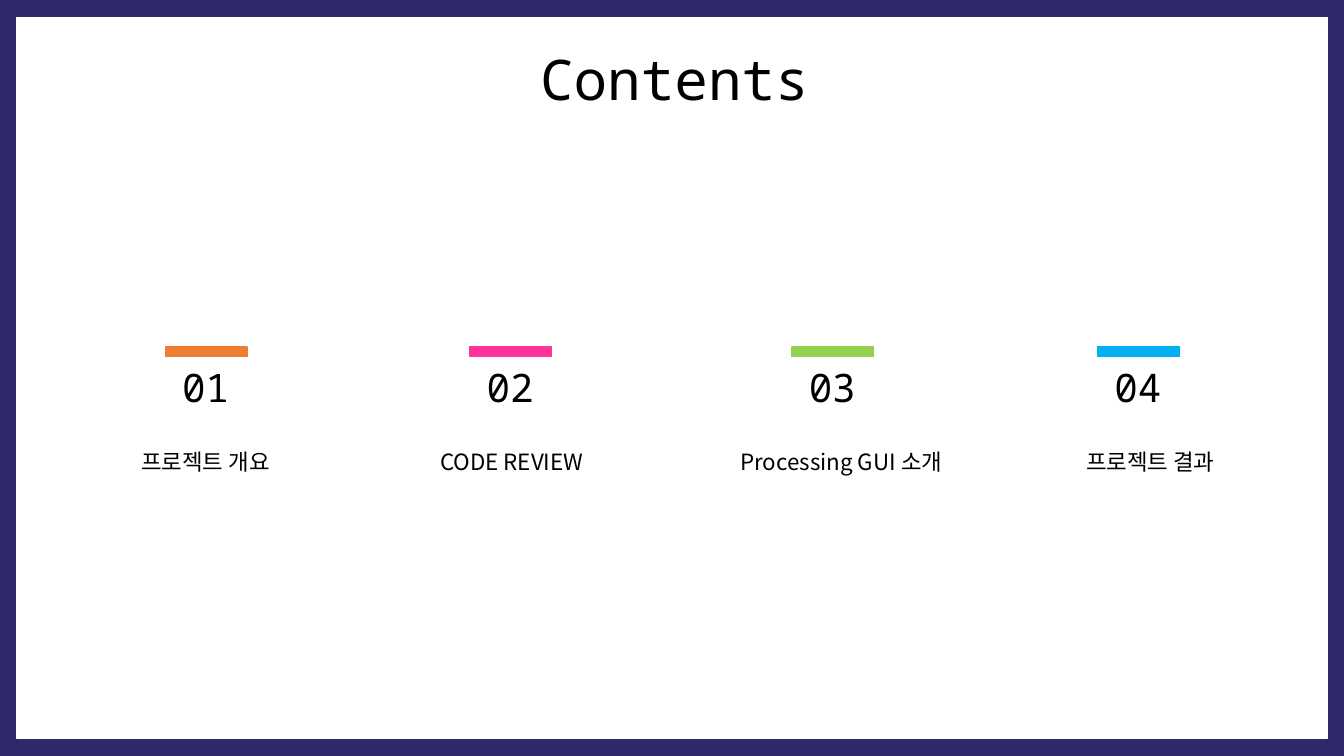
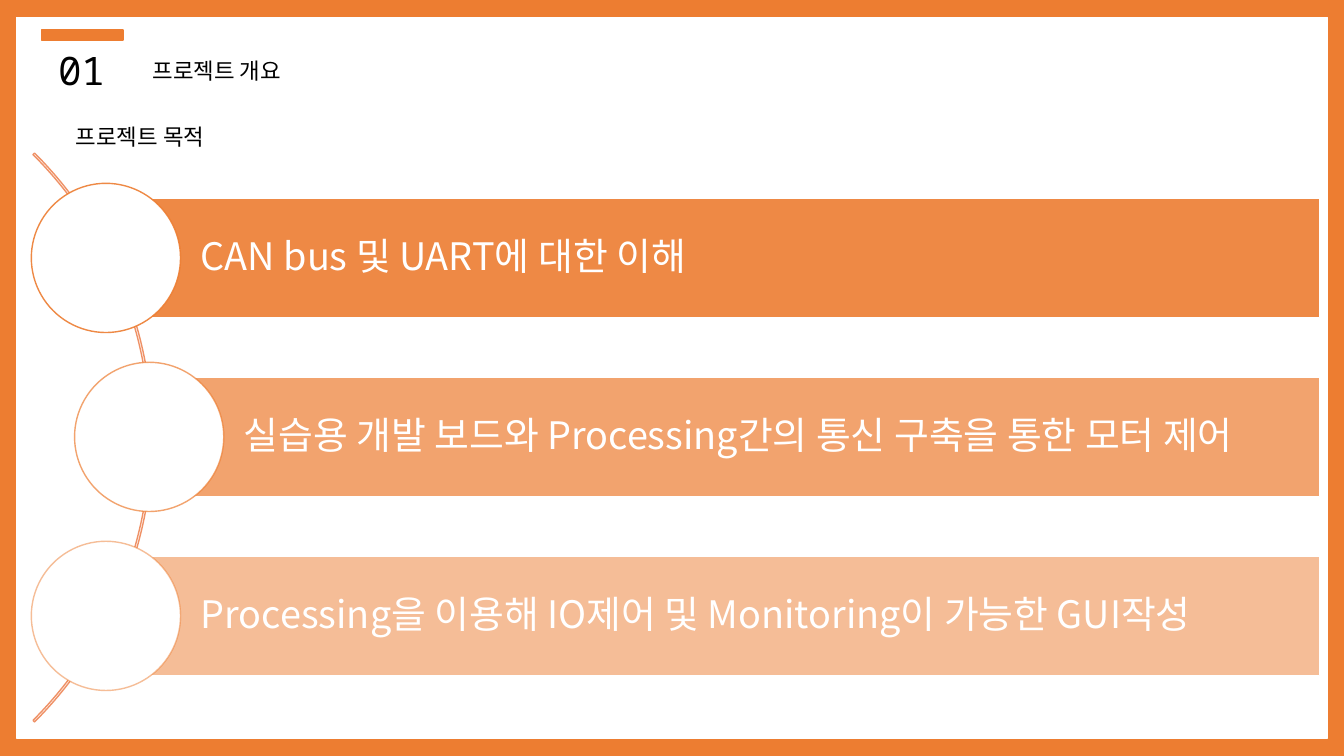
from lxml.etree import SubElement
from pptx import Presentation
from pptx.dml.color import RGBColor
from pptx.enum.shapes import MSO_SHAPE
from pptx.enum.text import MSO_ANCHOR, MSO_AUTO_SIZE, PP_ALIGN
from pptx.oxml.ns import qn
from pptx.util import Cm, Pt

COLORS = {
    "indigo": "30296C",
    "orange": "ED7D31",
    "pink": "FF3399",
    "green": "92D050",
    "blue": "00B0F0",
    "arc": "EF9166",
    "white": "FFFFFF",
    "black": "000000",
}
SANS = "Noto Sans CJK KR"
MONO = "Noto Sans Mono"


def write(shape, text, size=16, font=SANS, color="black", align=PP_ALIGN.CENTER,
          anchor=MSO_ANCHOR.TOP, grow=True, line_spacing=1.0):
    frame = shape.text_frame
    frame.word_wrap = True
    frame.auto_size = MSO_AUTO_SIZE.SHAPE_TO_FIT_TEXT if grow else MSO_AUTO_SIZE.NONE
    frame.vertical_anchor = anchor
    paragraph = frame.paragraphs[0]
    paragraph.alignment = align
    paragraph.line_spacing = line_spacing
    paragraph.space_before = Pt(0)
    run = paragraph.add_run()
    run.text = text
    run.font.size = Pt(size)
    run.font.name = font
    run.font.color.rgb = RGBColor.from_string(COLORS[color])
    # Hangul takes its font from the East Asian slot
    SubElement(run._r.get_or_add_rPr(), qn("a:ea"), typeface=font)


def draw(slide, kind, left, top, width, height, fill=None, line=None, opacity=100):
    shape = slide.shapes.add_shape(kind, Cm(left), Cm(top), Cm(width), Cm(height))
    shape.shadow.inherit = False
    if fill:
        shape.fill.solid()
        shape.fill.fore_color.rgb = RGBColor.from_string(COLORS[fill])
    else:
        shape.fill.background()
    if line:
        shape.line.color.rgb = RGBColor.from_string(COLORS[line])
        shape.line.width = Pt(1)
    else:
        shape.line.fill.background()
    if opacity < 100:
        # White stays solid, the accent colour lets the page through
        for tint in shape.element.xpath('p:spPr//a:srgbClr[@val!="FFFFFF"]'):
            SubElement(tint, qn("a:alpha"), val=str(opacity * 1000))
    return shape


prs = Presentation()
prs.slide_width, prs.slide_height = Cm(33.87), Cm(19.05)

# Framed pages with their titles
pages = [
    ("indigo", "Contents", 40, MONO, (13.31, 0.99, 7.37, 1.96)),
    ("orange", "프로젝트 개요", 16, SANS, (2.06, 1.3, 6.81, 0.94)),
]
for frame_color, heading, size, font, place in pages:
    slide = prs.slides.add_slide(prs.slide_layouts[5])
    draw(slide, MSO_SHAPE.RECTANGLE, 0, 0, 33.87, 19.05, fill=frame_color)
    draw(slide, MSO_SHAPE.RECTANGLE, 0.41, 0.44, 33.05, 18.16, fill="white", line="white")
    title = slide.shapes.title
    title.left, title.top, title.width, title.height = map(Cm, place)
    write(title, heading, size=size, font=font)
    # Bring the title in front of the frame
    title.element.getparent().append(title.element)
contents, overview = prs.slides

# Numbered section markers
markers = [
    (contents, "01", "orange", 4.17, 8.74),
    (contents, "02", "pink", 11.84, 8.74),
    (contents, "03", "green", 19.96, 8.74),
    (contents, "04", "blue", 27.66, 8.74),
    (overview, "01", "orange", 1.04, 0.76),
]
for slide, number, color, left, top in markers:
    draw(slide, MSO_SHAPE.RECTANGLE, left, top, 2.06, 0.25, fill=color, line=color)
    number_box = slide.shapes.add_textbox(Cm(left - 0.47), Cm(top + 0.28), Cm(2.97), Cm(1.45))
    write(number_box, number, size=28, font=MONO)

# Section names and the subheading, centred on a given point
label_width = 7.2
labels = [
    (contents, "프로젝트 개요", 5.18, 11.18),
    (contents, "CODE REVIEW", 12.9, 11.18),
    (contents, "Processing GUI 소개", 21.2, 11.18),
    (contents, "프로젝트 결과", 28.99, 11.18),
    (overview, "프로젝트 목적", 3.53, 2.97),
]
for slide, name, center, top in labels:
    label = slide.shapes.add_textbox(
        Cm(center - label_width / 2), Cm(top), Cm(label_width), Cm(0.94))
    write(label, name)

# Arc behind the project goals
arc = draw(overview, MSO_SHAPE.BLOCK_ARC, -16.43, 0.89, 20.27, 20.27, line="arc")
for index, value in enumerate((189, 27, 0.0027)):
    arc.adjustments[index] = value

# Project goals: each bar starts at the centre of its circle
circle_size, bar_height, bar_right = 3.76, 3.02, 33.25
goals = [
    ("CAN bus 및 UART에 대한 이해", 0.79, 90),
    ("실습용 개발 보드와 Processing간의 통신 구축을 통한 모터 제어", 1.88, 70),
    ("Processing을 이용해 IO제어 및 Monitoring이 가능한 GUI작성", 0.79, 50),
]
for row, (goal, circle_left, opacity) in enumerate(goals):
    circle_top = 4.62 + row * 4.51
    bar_left = circle_left + circle_size / 2
    bar_top = circle_top + (circle_size - bar_height) / 2
    bar = draw(overview, MSO_SHAPE.RECTANGLE, bar_left, bar_top, bar_right - bar_left,
               bar_height, fill="orange", line="white", opacity=opacity)
    write(bar, goal, size=27, color="white", align=PP_ALIGN.LEFT,
          anchor=MSO_ANCHOR.MIDDLE, grow=False, line_spacing=0.9)
    bar.text_frame.margin_left = Cm(2.39)
    bar.text_frame.margin_right = Cm(0.18)
    draw(overview, MSO_SHAPE.OVAL, circle_left, circle_top, circle_size, circle_size,
         fill="white", line="orange", opacity=opacity)

prs.save("out.pptx")
